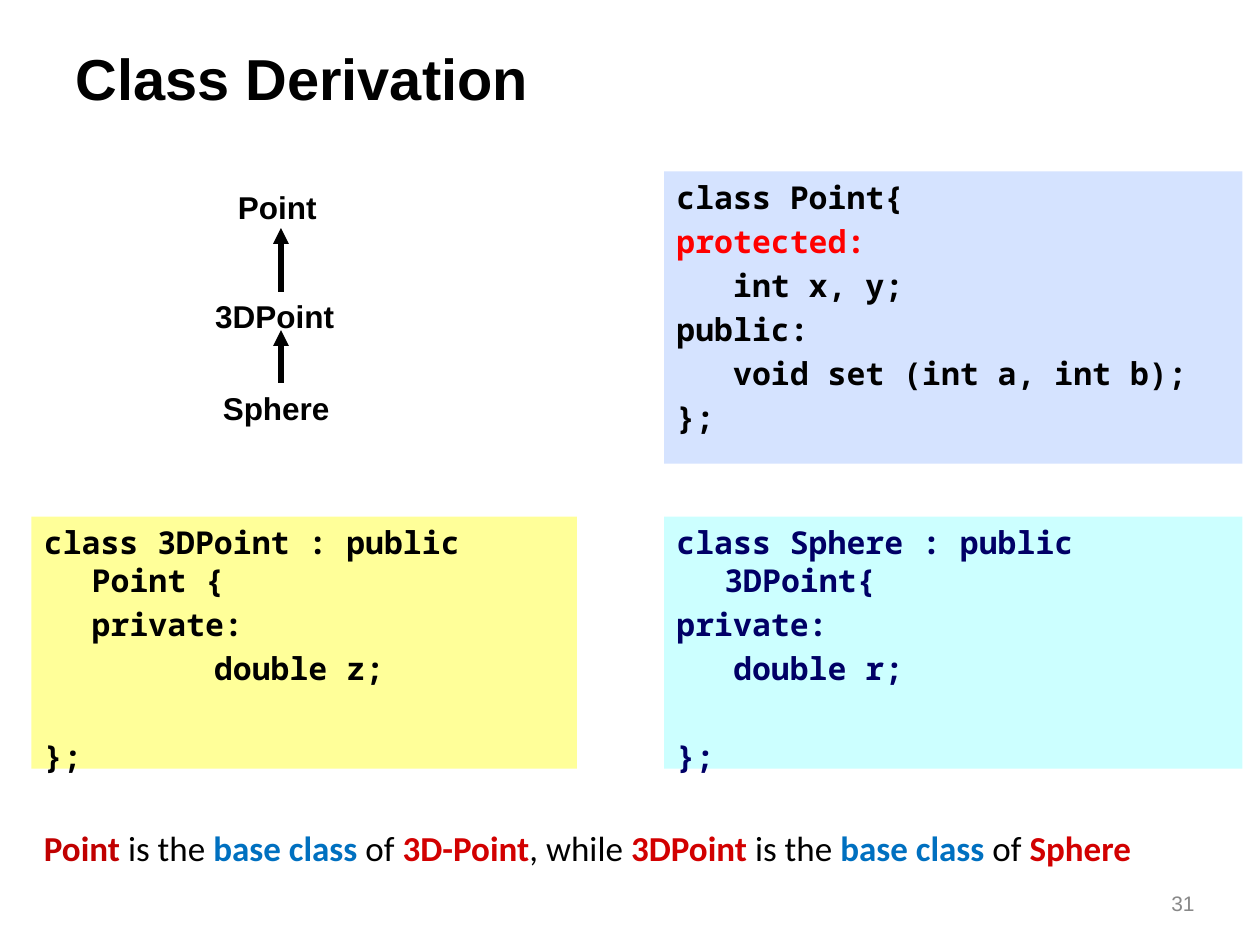
import pptx
import pptx.util
import pptx.dml.color
import pptx.enum.shapes
import pptx.enum.text
import pptx.oxml
from lxml import etree

Inches, Pt = pptx.util.Inches, pptx.util.Pt
ALIGN = pptx.enum.text.PP_ALIGN
ANCHOR = pptx.enum.text.MSO_ANCHOR

THEME = {
    "black": "000000", "navy": "000066", "grey": "888888",
    "keyword": "FF0000", "first": "C00000", "name": "D20000", "term": "0070C0",
    "base_fill": "D5E3FF", "middle_fill": "FFFF99", "derived_fill": "CCFFFF",
    "heading": "Arial", "code": "Noto Sans Mono", "body": "Calibri",
    "title_size": 33, "summary_size": 20, "text_size": 18, "number_size": 12,
}

TITLE = "Class Derivation"
SLIDE_NUMBER = "31"
COLUMNS = {"left": (0.25, 4.33), "right": (5.27, 4.59)}
ROWS = {"top": (1.36, 2.32), "bottom": (4.1, 2)}
HANG, STEP, DEEP = 0.38, 0.45, 1.35   # indents of code lines
LINE_GAP, WIDE_GAP = 3.6, 28.8        # space before a code line, in points

# (column, row, fill, text colour, lines); a line is (text, indent, options)
CODE_BOXES = [
    ("right", "top", "base_fill", "black", [
        ("class Point{", 0, {}),
        ("protected:", 0, {"color": "keyword"}),
        ("int x, y;", STEP, {}),
        ("public:", 0, {}),
        ("void set (int a, int b);", STEP, {}),
        ("};", 0, {}),
    ]),
    ("left", "bottom", "middle_fill", "black", [
        ("class 3DPoint : public Point {", 0, {}),
        ("private:", HANG, {}),
        ("double z;", DEEP, {}),
        ("};", 0, {"gap": WIDE_GAP}),
    ]),
    ("right", "bottom", "derived_fill", "navy", [
        ("class Sphere : public 3DPoint{", 0, {}),
        ("private:", 0, {}),
        ("double r;", STEP, {}),
        ("};", 0, {"gap": WIDE_GAP}),
    ]),
]

# (class, left, top, width)
HIERARCHY = [("Point", 1.79, 1.44, 0.83), ("3DPoint", 1.61, 2.31, 1.16),
             ("Sphere", 1.67, 3.04, 1.06)]
ARROW_X = 2.23
ARROWS = [(1.81, 2.32), (2.62, 3.04)]  # tip, foot

SUMMARY = [
    ("Point ", "first"), ("is the ", "black"), ("base class ", "term"),
    ("of ", "black"), ("3D-Point", "name"), (", while ", "black"),
    ("3DPoint ", "name"), ("is the ", "black"), ("base class ", "term"),
    ("of ", "black"), ("Sphere", "name"),
]


def rgb(color):
    return pptx.dml.color.RGBColor.from_string(THEME[color])


def add_run(paragraph, text, font, size, color="black", bold=True):
    run = paragraph.add_run()
    run.text = text
    style = {"name": THEME[font], "size": Pt(THEME[size]), "bold": bold}
    for attribute, value in style.items():
        setattr(run.font, attribute, value)
    run.font.color.rgb = rgb(color)


def add_label(slide, left, top, width, height, wrap=True):
    """Add an empty text box and return its first paragraph."""
    frame = slide.shapes.add_textbox(*map(Inches, (left, top, width, height))).text_frame
    frame.word_wrap = wrap
    return frame.paragraphs[0]


def add_title(slide):
    title = slide.shapes.title
    place = {"left": 0.5, "top": 0.16, "width": 9, "height": 0.91}
    for attribute, value in place.items():
        setattr(title, attribute, Inches(value))
    title.text_frame.vertical_anchor = ANCHOR.MIDDLE
    paragraph = title.text_frame.paragraphs[0]
    paragraph.alignment = ALIGN.LEFT
    add_run(paragraph, TITLE, "heading", "title_size")


def add_code_box(slide, column, row, fill, color, lines):
    (left, width), (top, height) = COLUMNS[column], ROWS[row]
    box = slide.shapes.add_shape(pptx.enum.shapes.MSO_SHAPE.RECTANGLE,
                                 *map(Inches, (left, top, width, height)))
    box.shadow.inherit = False
    box.fill.solid()
    box.fill.fore_color.rgb = rgb(fill)
    box.line.fill.background()
    frame = box.text_frame
    frame.word_wrap = True
    frame.vertical_anchor = ANCHOR.TOP
    for index, (text, indent, options) in enumerate(lines):
        paragraph = frame.paragraphs[0] if index == 0 else frame.add_paragraph()
        paragraph.alignment = ALIGN.LEFT
        paragraph.space_before = Pt(options.get("gap", LINE_GAP) if index else 0)
        margin = max(indent, HANG)
        properties = paragraph._p.get_or_add_pPr()
        properties.set("marL", str(Inches(margin)))
        properties.set("indent", str(Inches(indent - margin)))
        add_run(paragraph, text, "code", "text_size", options.get("color", color))


def add_arrow(slide, tip, foot):
    arrow = slide.shapes.add_connector(
        pptx.enum.shapes.MSO_CONNECTOR.STRAIGHT,
        *map(Inches, (ARROW_X, tip, ARROW_X, foot)))
    arrow.line.color.rgb = rgb("black")
    arrow.line.width = Pt(3)
    qn = pptx.oxml.ns.qn
    etree.SubElement(arrow.line._get_or_add_ln(), qn("a:headEnd"), type="triangle")
    etree.SubElement(arrow._element.spPr, qn("a:effectLst"))


def main():
    presentation = pptx.Presentation()
    presentation.slide_width, presentation.slide_height = Inches(10), Inches(7.5)
    slide = presentation.slides.add_slide(presentation.slide_layouts[5])

    add_title(slide)
    number = add_label(slide, 8.78, 7.02, 0.8, 0.35)
    number.alignment = ALIGN.RIGHT
    add_run(number, SLIDE_NUMBER, "heading", "number_size", "grey", bold=False)

    for code_box in CODE_BOXES:
        add_code_box(slide, *code_box)
    for name, left, top, width in HIERARCHY:
        label = add_label(slide, left, top, width, 0.4, wrap=False)
        add_run(label, name, "heading", "text_size")
    for tip, foot in ARROWS:
        add_arrow(slide, tip, foot)

    summary = add_label(slide, COLUMNS["left"][0], 6.51, 9.18, 0.44)
    for text, color in SUMMARY:
        add_run(summary, text, "body", "summary_size", color, bold=color != "black")

    presentation.save("out.pptx")


if __name__ == "__main__":
    main()
